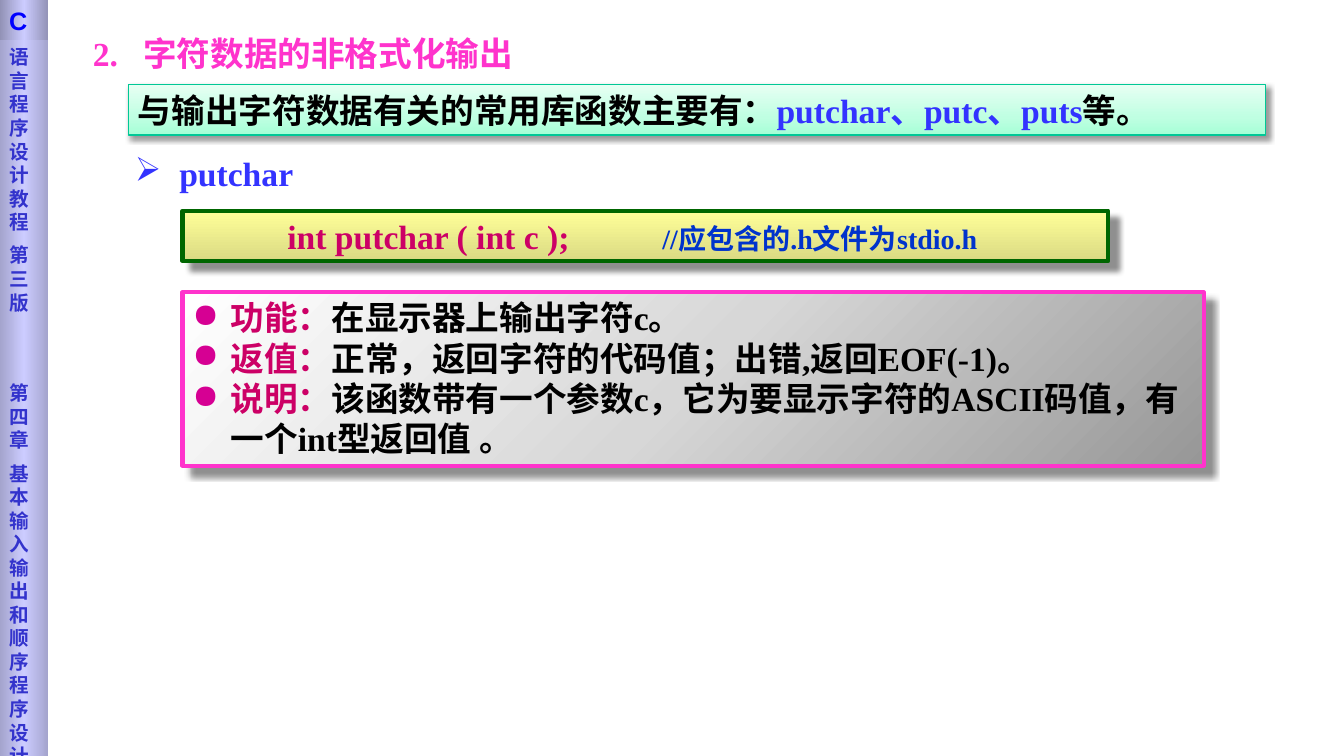
from lxml import etree
from pptx import Presentation
from pptx.dml.color import RGBColor
from pptx.enum.shapes import MSO_SHAPE
from pptx.enum.text import MSO_ANCHOR, PP_ALIGN
from pptx.oxml import parse_xml
from pptx.oxml.ns import nsdecls, qn
from pptx.util import Inches, Pt

RECT = MSO_SHAPE.RECTANGLE
TOP, MIDDLE, LEFT = MSO_ANCHOR.TOP, MSO_ANCHOR.MIDDLE, PP_ALIGN.LEFT

THEME = {
    "serif": "Times New Roman", "sans": "Arial", "side": "DejaVu Sans",
    "body": 24, "comment": 20, "side_size": 14, "letter": 18,
    "pink": "FF33CC", "crimson": "CC0066", "blue": "3333FF", "black": "000000",
    "navy": "0033CC", "side_blue": "3333CC", "letter_blue": "0000FF",
    "bullet": "D60093", "green": "006600", "teal": "00C896",
    "yellow_fill": (90, [(0, "FFFF99"), (100, "DADA83")]),
    "mint_fill": (270, [(0, "A5FFD6"), (35, "BFFFE2"), (100, "E7FFF3")]),
    "grey_fill": (225, [(0, "979797"), (50, "D7D7D7"), (100, "FFFFFF")]),
    "side_fill": (0, [(0, "A4A4CD"), (50, "CCCCFF"), (100, "A4A4CD")]),
    "letter_fill": (0, [(0, "9292B6"), (50, "CCCCFF"), (100, "9292B6")]),
}


def panel(place, fill, line=None, shadow=None):
    """Gradient rectangle; line is (colour, points), shadow (alpha %, blur, distance)."""
    shape = slide.shapes.add_shape(RECT, *map(Inches, place))
    shape.shadow.inherit = False
    angle, stops = THEME[fill]
    stop_xml = "".join(
        f'<a:gs pos="{pos * 1000}"><a:srgbClr val="{colour}"/></a:gs>' for pos, colour in stops)
    shape._element.spPr.find(qn("a:prstGeom")).addnext(parse_xml(
        f'<a:gradFill {nsdecls("a")} rotWithShape="1"><a:gsLst>{stop_xml}</a:gsLst>'
        f'<a:lin ang="{angle * 60000}" scaled="0"/></a:gradFill>'))
    if line:
        shape.line.color.rgb = RGBColor.from_string(THEME[line[0]])
        shape.line.width = Pt(line[1])
    else:
        shape.line.fill.background()
    if shadow:
        alpha, blur, distance = shadow
        shape._element.spPr.find(qn("a:effectLst")).append(parse_xml(
            f'<a:outerShdw {nsdecls("a")} blurRad="{Pt(blur)}" dist="{Pt(distance)}" '
            f'dir="2700000" algn="tl" rotWithShape="0"><a:srgbClr val="000000">'
            f'<a:alpha val="{alpha * 1000}"/></a:srgbClr></a:outerShdw>'))
    return shape


def write(shape, paragraphs, font="serif", size="body", anchor=TOP, inset=(0.1, 0.05),
          bullet=None, bullet_colour=None, hang=0, tab=None, gaps=None):
    """Fill a shape; each paragraph is a list of (text, colour[, size]) runs."""
    frame = shape.text_frame
    settings = {"word_wrap": True, "vertical_anchor": anchor,
                "margin_left": Inches(inset[0]), "margin_top": Inches(inset[1]),
                "margin_right": Inches(0.1), "margin_bottom": Inches(0.05)}
    for name, value in settings.items():
        setattr(frame, name, value)
    for index, runs in enumerate(paragraphs):
        paragraph = frame.paragraphs[0] if index == 0 else frame.add_paragraph()
        paragraph.alignment = LEFT
        if gaps and index:
            paragraph.space_before = Pt(gaps[index])
        props = paragraph._p.get_or_add_pPr()
        if bullet:
            props.set("marL", str(Inches(hang)))
            props.set("indent", str(-Inches(hang)))
            if bullet_colour:
                colour = etree.SubElement(props, qn("a:buClr"))
                etree.SubElement(colour, qn("a:srgbClr"), val=THEME[bullet_colour])
            etree.SubElement(props, qn("a:buChar"), char=bullet)
        if tab:
            tabs = etree.SubElement(props, qn("a:tabLst"))
            etree.SubElement(tabs, qn("a:tab"), pos=str(Inches(tab)), algn="l")
        for text, colour, *own_size in runs:
            run = paragraph.add_run()
            run.text = text
            run.font.color.rgb = RGBColor.from_string(THEME[colour])
            look = {"name": THEME[font], "bold": True,
                    "size": Pt(THEME[own_size[0] if own_size else size])}
            for name, value in look.items():
                setattr(run.font, name, value)


deck = Presentation()
deck.slide_width, deck.slide_height = Inches(13.33), Inches(7.5)
slide = deck.slides.add_slide(deck.slide_layouts[5])

ROW = 0.5
INDENT = 1.81
SIDE_WIDTH = 0.48

heading = slide.shapes.title
heading.left, heading.top, heading.width, heading.height = map(Inches, (0.82, 0.28, 5.1, ROW))
write(heading, [[("2.\t字符数据的非格式化输出", "pink")]], tab=0.5)

prototype = panel((INDENT, 2.09, 9.18, ROW), "yellow_fill", ("green", 3), (43, 4, 8.4))
write(prototype, [[("int putchar ( int c );\t", "crimson"),
                   ("//应包含的.h文件为stdio.h", "navy", "comment")]],
      inset=(1.04, 0.05), tab=3.72)

library = panel((1.27, 0.84, 11.28, ROW), "mint_fill", ("teal", 0.75), (40, 4, 3))
write(library, [[("与输出字符数据有关的常用库函数主要有：", "black"),
                 ("putchar、putc、puts", "blue"), ("等。", "black")]], anchor=MIDDLE)

function_name = slide.shapes.add_textbox(*map(Inches, (1.24, 1.47, 5.26, ROW)))
write(function_name, [[("putchar", "blue")]], bullet="➢", hang=0.44)

description = panel((INDENT, 2.9, 10.13, 1.72), "grey_fill", ("pink", 3), (43, 4, 8.4))
facts = [("功能：", "在显示器上输出字符c。"),
         ("返值：", "正常，返回字符的代码值；出错,返回EOF(-1)。"),
         ("说明：", "该函数带有一个参数c，它为要显示字符的ASCII码值，有一个int型返回值 。")]
write(description, [[(label, "crimson"), (fact, "black")] for label, fact in facts],
      bullet="●", bullet_colour="bullet", hang=0.38)

sidebar = panel((0, 0, SIDE_WIDTH, 7.5), "side_fill")
chapter = ["语言程序设计教程", "第三版", "第四章", "基本输入输出和顺序程序设计"]
write(sidebar, [[(part, "side_blue")] for part in chapter], font="side", size="side_size",
      inset=(0.09, 0.45), gaps=[0, 7, 48, 7])

letter = panel((0, 0, SIDE_WIDTH, 0.4), "letter_fill")
write(letter, [[("C", "letter_blue")]], font="sans", size="letter", inset=(0.09, 0.05))

deck.save("out.pptx")
